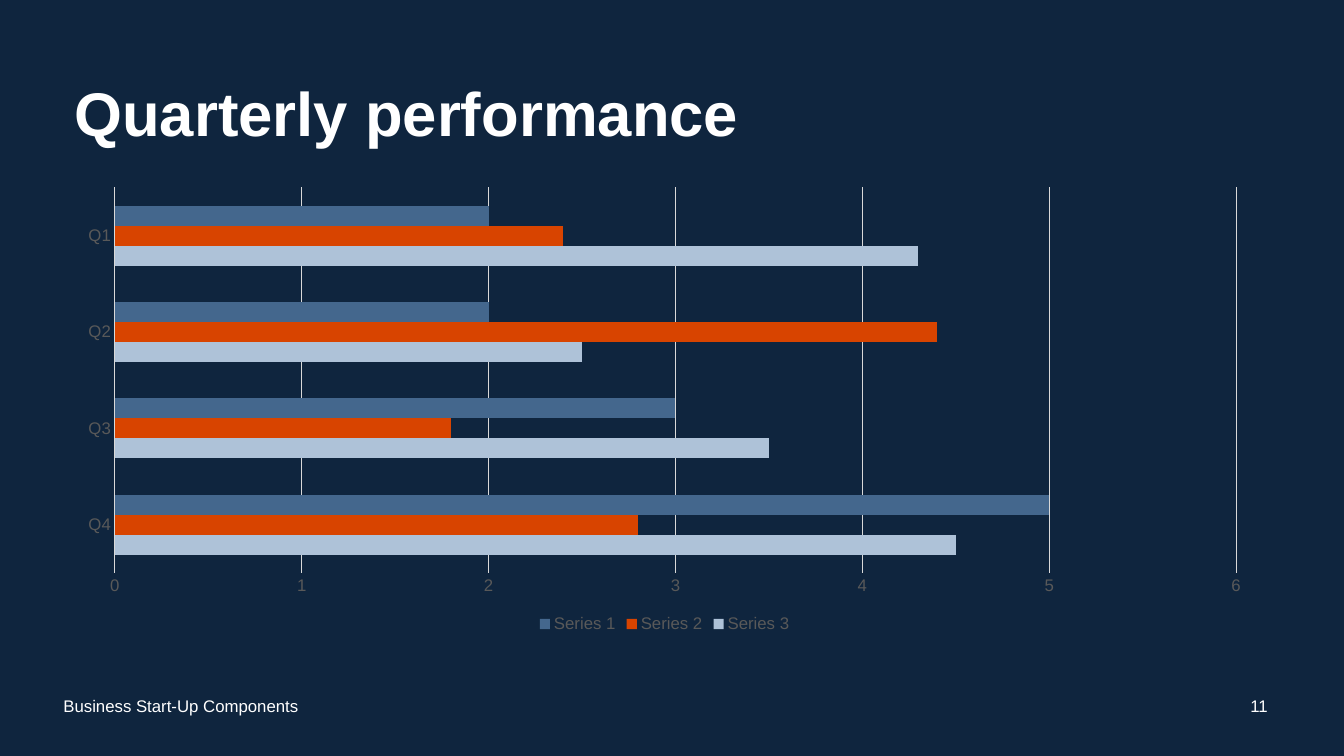
from dataclasses import dataclass

from pptx import Presentation
from pptx.chart.data import CategoryChartData
from pptx.dml.color import RGBColor
from pptx.enum.chart import XL_CHART_TYPE, XL_LEGEND_POSITION, XL_TICK_MARK
from pptx.enum.text import MSO_ANCHOR, PP_ALIGN
from pptx.util import Pt

BAR = XL_CHART_TYPE.BAR_CLUSTERED
BOTTOM = XL_LEGEND_POSITION.BOTTOM
NO_TICK = XL_TICK_MARK.NONE
MIDDLE = MSO_ANCHOR.MIDDLE
LEFT, CENTER = PP_ALIGN.LEFT, PP_ALIGN.CENTER

FACE = "Arial"
NAVY, WHITE, GREY, RULE = "0F253E", "FFFFFF", "595959", "D9D9D9"


@dataclass
class Series:
    name: str
    values: tuple[float, ...]
    color: str


@dataclass
class Note:
    text: str
    left: float
    width: float
    align: PP_ALIGN


QUARTERS = ["Q4", "Q3", "Q2", "Q1"]
SERIES = [
    Series("Series 3", (4.5, 3.5, 2.5, 4.3), "AEC2D8"),
    Series("Series 2", (2.8, 1.8, 4.4, 2.4), "D84400"),
    Series("Series 1", (5, 3, 2, 2), "44678D"),
]
NOTES = [
    Note("11", 881.3, 36, CENTER),
    Note("Business Start-Up Components", 38.2, 324, LEFT),
]


def paint(fill, color: str) -> None:
    fill.solid()
    fill.fore_color.rgb = RGBColor.from_string(color)


def style(font, size: float, color: str, bold: bool = False) -> None:
    font.name, font.size, font.bold = FACE, Pt(size), bold
    paint(font.fill, color)


def rule(line) -> None:
    line.width = Pt(0.75)
    paint(line.fill, RULE)


def add_title(slide, text: str) -> None:
    title = slide.shapes.title
    title.left, title.top = Pt(46), Pt(39.6)
    title.width, title.height = Pt(828), Pt(87.8)
    frame = title.text_frame
    frame.text = text
    frame.vertical_anchor = MIDDLE
    para = frame.paragraphs[0]
    para.alignment = LEFT
    para.line_spacing = 0.9
    style(para.font, 44, WHITE, True)


def add_bars(slide) -> None:
    data = CategoryChartData()
    data.categories = QUARTERS
    for item in SERIES:
        data.add_series(item.name, item.values)
    chart = slide.shapes.add_chart(
        BAR, Pt(46), Pt(127.4), Pt(857.5), Pt(327.6), data).chart
    style(chart.font, 10, "000000")
    chart.has_title = False

    # Bars
    plot = chart.plots[0]
    plot.gap_width, plot.overlap = 182, 0
    plot.vary_by_categories = False
    for bars, item in zip(plot.series, SERIES):
        paint(bars.format.fill, item.color)
        bars.invert_if_negative = False

    # Axes
    for axis in (chart.category_axis, chart.value_axis):
        axis.major_tick_mark = axis.minor_tick_mark = NO_TICK
        style(axis.tick_labels.font, 12, GREY)
    rule(chart.category_axis.format.line)
    chart.value_axis.format.line.fill.background()
    chart.value_axis.has_major_gridlines = True
    rule(chart.value_axis.major_gridlines.format.line)

    # Legend
    chart.has_legend = True
    chart.legend.position = BOTTOM
    chart.legend.include_in_layout = False
    style(chart.legend.font, 12, GREY)


def add_note(slide, note: Note) -> None:
    box = slide.shapes.add_textbox(
        Pt(note.left), Pt(489.6), Pt(note.width), Pt(28.8))
    frame = box.text_frame
    frame.word_wrap = True
    frame.vertical_anchor = MIDDLE
    frame.text = note.text
    para = frame.paragraphs[0]
    para.alignment = note.align
    style(para.font, 12, WHITE)


def main() -> None:
    deck = Presentation()
    deck.slide_width, deck.slide_height = Pt(960), Pt(540)
    slide = deck.slides.add_slide(deck.slide_layouts[5])
    paint(slide.background.fill, NAVY)
    add_title(slide, "Quarterly performance")
    add_bars(slide)
    for note in NOTES:
        add_note(slide, note)
    deck.save("out.pptx")


if __name__ == "__main__":
    main()
